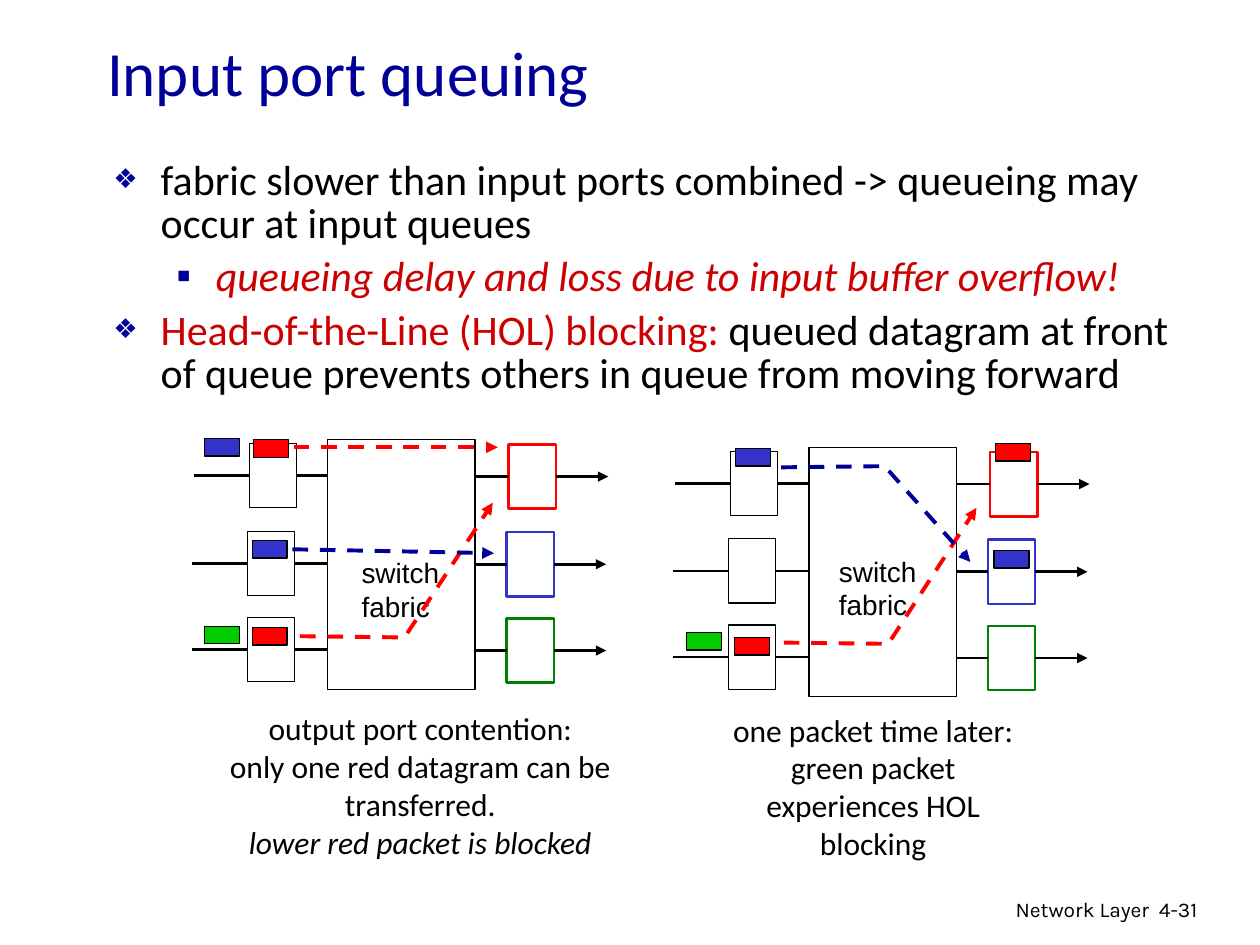
import pptx
import pptx.util
import pptx.dml.color
import pptx.enum.dml
import pptx.enum.shapes
import pptx.enum.text
import pptx.oxml.ns
from lxml import etree

Pt = pptx.util.Pt
ALIGN = pptx.enum.text.PP_ALIGN
COLORS = {
    "black": "000000", "white": "FFFFFF", "navy": "000099", "crimson": "CC0000",
    "red": "FF0000", "blue": "3333CC", "green": "008000", "lime": "00CC00",
}

# Switch geometry, relative to the top left of each diagram
FABRIC = (77.8, 0, 84.2, 142.6)
PORT_W, PORT_H = 27, 36.7
PACKET_W, PACKET_H = 20, 10
ROWS = [(1.2, 2.2, "red"), (0, 52.3, "blue"), (0, 101.6, "green")]
INPUT_X, OUTPUT_X, END_X = 31.8, 180, 236.9


def rgb(name):
    return pptx.dml.color.RGBColor.from_string(COLORS[name])


def add_xml(parent, tag, **attrs):
    return etree.SubElement(parent, pptx.oxml.ns.qn(tag), attrs)


def set_font(font, name, size, color):
    font.name, font.size = name, Pt(size)
    font.color.rgb = rgb(color)


def add_rect(s, x, y, w, h, fill, line="black", weight=0.75):
    sp = s.shapes.add_shape(pptx.enum.shapes.MSO_SHAPE.RECTANGLE, Pt(x), Pt(y), Pt(w), Pt(h))
    sp.shadow.inherit = False
    sp.fill.solid()
    sp.fill.fore_color.rgb = rgb(fill)
    sp.line.color.rgb = rgb(line)
    sp.line.width = Pt(weight)
    return sp


def style_line(sp, color, weight, dashed, arrow):
    sp.line.color.rgb = rgb(color)
    sp.line.width = Pt(weight)
    if dashed:
        sp.line.dash_style = pptx.enum.dml.MSO_LINE.DASH
    if arrow:
        add_xml(sp.line._get_or_add_ln(), "a:tailEnd", type="triangle")


def add_line(s, x1, y1, x2, y2, color="black", weight=1.5, dashed=False, arrow=False):
    cxn = s.shapes.add_connector(pptx.enum.shapes.MSO_CONNECTOR.STRAIGHT,
                                 Pt(x1), Pt(y1), Pt(x2), Pt(y2))
    style_line(cxn, color, weight, dashed, arrow)
    add_xml(cxn._element.spPr, "a:effectLst")
    return cxn


def add_route(s, points, color):
    """Dashed arrow, straight or bent."""
    if len(points) == 2:
        add_line(s, *points[0], *points[1], color, 2.25, True, True)
        return
    pts = [(Pt(x), Pt(y)) for x, y in points]
    builder = s.shapes.build_freeform(*pts[0])
    builder.add_line_segments(pts[1:], close=False)
    sp = builder.convert_to_shape()
    sp.shadow.inherit = False
    sp.fill.background()
    style_line(sp, color, 2.25, True, True)


def add_text(s, x, y, w, h, paragraphs, font, size, align=ALIGN.LEFT):
    """Each paragraph is a list of (text, italic) lines."""
    tf = s.shapes.add_textbox(Pt(x), Pt(y), Pt(w), Pt(h)).text_frame
    tf.word_wrap = True
    for i, lines in enumerate(paragraphs):
        p = tf.add_paragraph() if i else tf.paragraphs[0]
        p.alignment = align
        set_font(p.font, font, size, "black")
        for j, (text, italic) in enumerate(lines):
            if j:
                p.add_line_break()
            r = p.add_run()
            r.text = text
            if italic:
                r.font.italic = True


def place(sp, x, y, w, h):
    sp.left, sp.top, sp.width, sp.height = Pt(x), Pt(y), Pt(w), Pt(h)
    sp.text_frame.auto_size = pptx.enum.text.MSO_AUTO_SIZE.NONE
    return sp.text_frame


def build_title(s, x, y, w, h):
    tf = place(s.shapes.title, x, y, w, h)
    tf.vertical_anchor = pptx.enum.text.MSO_ANCHOR.MIDDLE
    p = tf.paragraphs[0]
    p.text = "Input port queuing"
    p.alignment = ALIGN.LEFT
    set_font(p.font, "Calibri", 36, "navy")


def build_body(s, x, y, w, h):
    tf = place(s.placeholders[1], x, y, w, h)
    items = [
        (0, [("fabric slower than input ports combined -> queueing may occur at input queues",
              "black")]),
        (1, [("queueing delay and loss due to input buffer overflow!", "crimson")]),
        (0, [("Head-of-the-Line (HOL) blocking:", "crimson"),
             (" queued datagram at front of queue prevents others in queue from moving forward",
              "black")]),
    ]
    levels = [(27, -27, "❖", "65000"), (58.5, -22.5, "▪", "100000")]
    for i, (level, runs) in enumerate(items):
        p = tf.add_paragraph() if i else tf.paragraphs[0]
        p.level = level
        p.line_spacing = 0.85
        p.space_before = Pt(6 if i else 0)
        margin, indent, char, size = levels[level]
        pPr = p._p.get_or_add_pPr()
        pPr.set("marL", str(Pt(margin)))
        pPr.set("indent", str(Pt(indent)))
        add_xml(add_xml(pPr, "a:buClr"), "a:srgbClr", val=COLORS["navy"])
        add_xml(pPr, "a:buSzPct", val=size)
        add_xml(pPr, "a:buFont", typeface="Arial")
        add_xml(pPr, "a:buChar", char=char)
        p.font.name, p.font.size = "Calibri", Pt(24)
        p.font.italic = level == 1
        for text, color in runs:
            r = p.add_run()
            r.text = text
            r.font.color.rgb = rgb(color)


def build_switch(s, x, y, label, routes, packets):
    # Fabric
    fx, fy, fw, fh = FABRIC
    add_rect(s, x + fx, y + fy, fw, fh, "white")

    # Ports and their links, one row per port pair
    for dx, dy, color in ROWS:
        in_x, out_x, top = x + INPUT_X + dx, x + OUTPUT_X + dx, y + dy
        inp = add_rect(s, in_x, top, PORT_W, PORT_H, "white")
        out = add_rect(s, out_x, top + 0.5, PORT_W, PORT_H, "white", color, 1.5)
        in_y, out_y = top + PORT_H / 2, top + 0.5 + PORT_H / 2
        add_line(s, x + dx, in_y, in_x, in_y).end_connect(inp, 1)
        add_line(s, in_x + PORT_W, in_y, x + fx, in_y).begin_connect(inp, 3)
        add_line(s, x + fx + fw, out_y, out_x, out_y).end_connect(out, 1)
        add_line(s, out_x + PORT_W, out_y, x + END_X + dx, out_y,
                 arrow=True).begin_connect(out, 3)

    # Label, routes and packets
    add_text(s, x + label[0], y + label[1], 70, 46, [[("switch", False)], [("fabric", False)]],
             "Arial", 16)
    for color, points in routes:
        add_route(s, [(x + px, y + py) for px, py in points], color)
    for color, px, py in packets:
        add_rect(s, x + px, y + py, PACKET_W, PACKET_H, color)


def build_footer(s, x, y, w, h):
    number_w = 53.3
    add_text(s, x, y, w - number_w + 8.6, h, [[("Network Layer", False)]], "Karla", 12, ALIGN.RIGHT)
    add_text(s, x + w - number_w, y, number_w, h, [[("4-31", False)]], "Karla", 12)


def main():
    prs = pptx.Presentation()
    prs.slide_width, prs.slide_height = Pt(720), Pt(540)
    s = prs.slides.add_slide(prs.slide_layouts[1])
    build_title(s, 54, 23, 612, 36)
    build_body(s, 57.6, 88.6, 638, 208.8)

    # Contention at the output port
    build_switch(
        s, 109.5, 251.3, (90, 62.6),
        [("red", [(58.3, 4.3), (175, 4.3)]),
         ("red", [(61.9, 112.3), (121.7, 113), (172.1, 36)]),
         ("navy", [(57.6, 62.6), (172.8, 64.8)])],
        [("red", 35.3, 0), ("blue", 34.6, 57.6), ("red", 34.6, 107.3),
         ("blue", 7.2, -0.7), ("lime", 7.2, 106.6)])
    add_text(s, 106.6, 401.8, 267.1, 93.6,
             [[("output port contention:", False)],
              [("only one red datagram can be transferred.", False),
               ("lower red packet is blocked", True)]],
             "Calibri", 18, ALIGN.CENTER)

    # One packet time later
    build_switch(
        s, 384.5, 255.6, (87.8, 57.6),
        [("red", [(63.4, 111.6), (123.1, 112.3), (173.5, 34.6)]),
         ("navy", [(61.9, 11.5), (121, 10.8), (170, 65.5)])],
        [("red", 184.3, -2.2), ("blue", 36, 0.7), ("red", 35.3, 108.7),
         ("lime", 7.9, 105.8), ("blue", 183.6, 59)])
    add_text(s, 411.1, 402.5, 175.7, 93.6,
             [[("one packet time later: green packet experiences HOL blocking", False)]],
             "Calibri", 18, ALIGN.CENTER)

    build_footer(s, 435.6, 509, 272.9, 22)
    prs.save("out.pptx")


if __name__ == "__main__":
    main()
